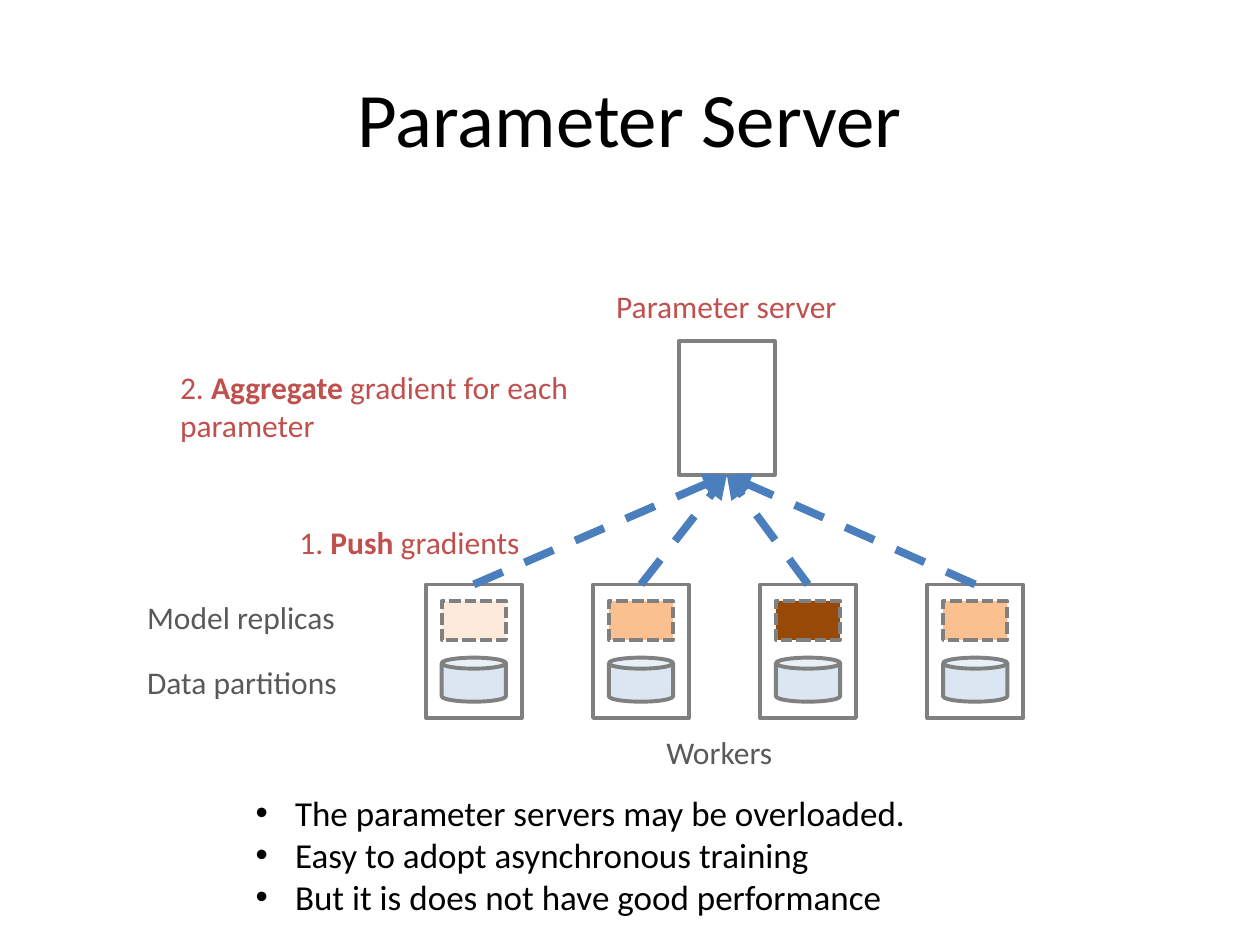
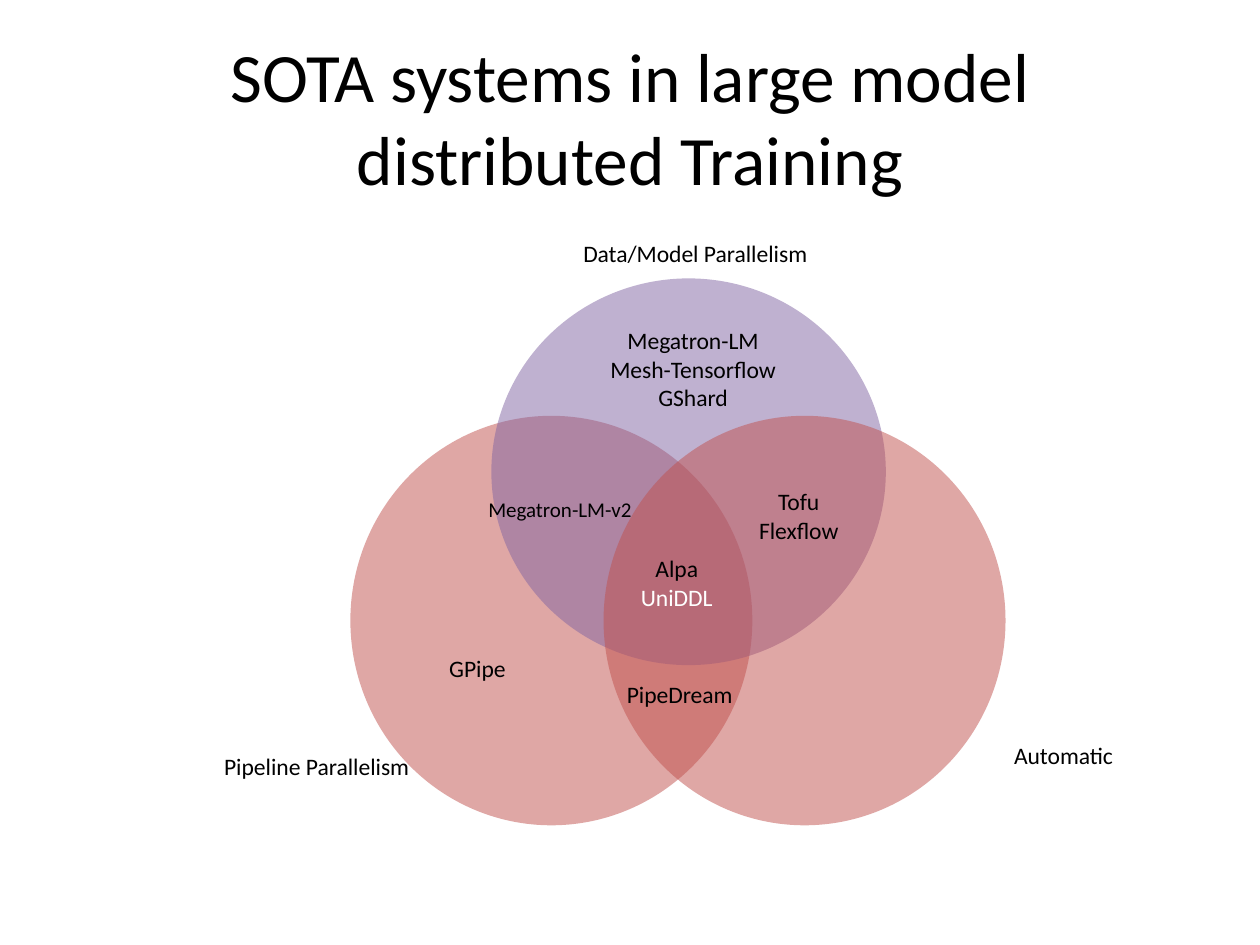
from lxml import etree
from pptx import Presentation
from pptx.dml.color import RGBColor
from pptx.enum.dml import MSO_LINE
from pptx.enum.shapes import MSO_CONNECTOR, MSO_SHAPE
from pptx.enum.text import MSO_ANCHOR, MSO_AUTO_SIZE, PP_ALIGN
from pptx.oxml.ns import qn
from pptx.util import Pt

FONT = "Calibri"
COLORS = {
    "text": "000000",
    "white": "FFFFFF",
    "label": "595959",
    "step": "C0504D",
    "outline": "808080",
    "data": "DCE6F2",
    "arrow": "4B7EBC",
    "red": "C0504D",
    "purple": "8064A2",
}
REPLICA_FILLS = ["FDEADA", "FAC090", "984807", "FAC090"]

NODE_W, NODE_H = 54.7, 76.3
WORKER_LEFT, WORKER_TOP, WORKER_STEP = 243.4, 334, 95.5
SERVER_LEFT, SERVER_TOP = 388, 195.1
PART_W, PART_INSET = 36.7, 9


def rgb(color):
    return RGBColor.from_string(COLORS.get(color, color))


def points(*lengths):
    return [Pt(length) for length in lengths]


def style_run(run, size, color, bold=None):
    run.font.name = FONT
    run.font.size = Pt(size)
    run.font.color.rgb = rgb(color)
    run.font.bold = bold


def add_text(slide, box, text, size, color="text", align=PP_ALIGN.LEFT, wrap=True):
    """Add a text box; a part of the text between asterisks is bold."""
    frame = slide.shapes.add_textbox(*points(*box)).text_frame
    frame.word_wrap = wrap
    frame.auto_size = MSO_AUTO_SIZE.SHAPE_TO_FIT_TEXT
    for number, line in enumerate(text.split("\n")):
        paragraph = frame.add_paragraph() if number else frame.paragraphs[0]
        paragraph.alignment = align
        for index, part in enumerate(line.split("*")):
            run = paragraph.add_run()
            run.text = part
            style_run(run, size, color, bold=index % 2 == 1)
    return frame


def add_title(slide, text, size):
    frame = add_text(slide, (36, 21.6, 648, 90), text, size, align=PP_ALIGN.CENTER)
    frame.auto_size = MSO_AUTO_SIZE.NONE
    frame.vertical_anchor = MSO_ANCHOR.MIDDLE


def add_bullets(slide, box, lines, size):
    frame = add_text(slide, box, "\n".join(lines), size)
    for paragraph in frame.paragraphs:
        properties = paragraph._p.get_or_add_pPr()
        properties.set("marL", str(Pt(22.5)))
        properties.set("indent", str(-Pt(22.5)))
        etree.SubElement(properties, qn("a:buFont")).set("typeface", "Arial")
        etree.SubElement(properties, qn("a:buChar")).set("char", "•")


def add_outlined(slide, kind, box, fill, dash=None):
    shape = slide.shapes.add_shape(kind, *points(*box))
    shape.shadow.inherit = False
    shape.fill.solid()
    shape.fill.fore_color.rgb = rgb(fill)
    shape.line.color.rgb = rgb("outline")
    shape.line.width = Pt(2.25)
    if dash:
        shape.line.dash_style = dash


def add_push_arrow(slide, start, end):
    arrow = slide.shapes.add_connector(MSO_CONNECTOR.STRAIGHT, *points(*start, *end))
    arrow.line.color.rgb = rgb("arrow")
    arrow.line.width = Pt(4.5)
    arrow.line.dash_style = MSO_LINE.DASH
    etree.SubElement(arrow.line._get_or_add_ln(), qn("a:tailEnd")).set("type", "triangle")
    etree.SubElement(arrow._element.spPr, qn("a:effectLst"))


def add_worker(slide, left, replica_fill):
    part_left = left + PART_INSET
    add_outlined(slide, MSO_SHAPE.RECTANGLE, (left, WORKER_TOP, NODE_W, NODE_H), "white")
    add_outlined(slide, MSO_SHAPE.CAN, (part_left, 375.8, PART_W, 25.2), "data")
    add_outlined(slide, MSO_SHAPE.RECTANGLE, (part_left, 343.4, PART_W, 22.3),
                 replica_fill, MSO_LINE.SQUARE_DOT)


def add_venn_circle(slide, box, color):
    circle = slide.shapes.add_shape(MSO_SHAPE.OVAL, *points(*box))
    circle.shadow.inherit = False
    circle.fill.solid()
    circle.fill.fore_color.rgb = rgb(color)
    circle.line.fill.background()
    solid_color = circle._element.spPr.find(qn("a:solidFill"))[0]
    etree.SubElement(solid_color, qn("a:alpha")).set("val", "50000")


def build_parameter_server(slide):
    add_title(slide, "Parameter Server", 44)
    add_outlined(slide, MSO_SHAPE.RECTANGLE,
                 (SERVER_LEFT, SERVER_TOP, NODE_W, NODE_H), "white")
    server_port = (SERVER_LEFT + NODE_W / 2, SERVER_TOP + NODE_H)
    for number, replica_fill in enumerate(REPLICA_FILLS):
        left = WORKER_LEFT + number * WORKER_STEP
        add_worker(slide, left, replica_fill)
        add_push_arrow(slide, (left + NODE_W / 2, WORKER_TOP), server_port)

    add_text(slide, (77, 338.4, 158.4, 29), "Model replicas", 18, "label")
    add_text(slide, (77, 375.1, 158.4, 29), "Data partitions", 18, "label")
    add_text(slide, (373.7, 415.6, 93.6, 29), "Workers", 18, "label")
    add_text(slide, (333.4, 160.6, 163.4, 29), "Parameter server", 18, "step",
             PP_ALIGN.CENTER)
    add_text(slide, (157.7, 295.2, 152.6, 29), "1. *Push* gradients", 18, "step",
             PP_ALIGN.CENTER)
    add_text(slide, (95.8, 206.6, 264.2, 51),
             "2. *Aggregate* gradient for each parameter", 18, "step")
    add_bullets(slide, (139, 448.6, 453.6, 80), [
        "The parameter servers may be overloaded.",
        "Easy to adopt asynchronous training",
        "But it is does not have good performance",
    ], 20)


def build_system_venn(slide):
    add_title(slide, "SOTA systems in large model distributed Training", 39.6)
    add_venn_circle(slide, (200.2, 237.6, 229.7, 234), "red")
    add_venn_circle(slide, (280.8, 159.1, 225.4, 221), "purple")
    add_venn_circle(slide, (344.9, 237.6, 229.7, 234), "red")

    for box, approach in [
        ((121, 426.2, 122.4, 23.8), "Pipeline Parallelism"),
        ((326.2, 133.2, 144.7, 23.8), "Data/Model Parallelism"),
        ((572.4, 419.8, 72, 23.8), "Automatic"),
    ]:
        add_text(slide, box, approach, 13.5, wrap=False)

    for box, systems, size in [
        ((340.6, 182.9, 110.9, 56.2), "Megatron-LM\nMesh-Tensorflow\nGShard", 13.5),
        ((249.1, 370.1, 47.5, 23.8), "GPipe", 13.5),
        ((350.6, 385.2, 75.6, 23.8), "PipeDream", 13.5),
        ((426.2, 275, 60.5, 40.3), "Tofu\nFlexflow", 13.5),
        ((271.4, 280.1, 97.2, 21.6), "Megatron-LM-v2", 12),
    ]:
        add_text(slide, box, systems, size, align=PP_ALIGN.CENTER, wrap=False)

    shared = add_text(slide, (358.6, 313.2, 56.2, 40.3), "Alpa\nUniDDL", 13.5,
                      align=PP_ALIGN.CENTER, wrap=False)
    style_run(shared.paragraphs[1].runs[0], 13.5, "white")


def main():
    deck = Presentation()
    deck.slide_width, deck.slide_height = points(720, 540)
    blank = deck.slide_layouts[6]
    for build in (build_parameter_server, build_system_venn):
        build(deck.slides.add_slide(blank))
    deck.save("out.pptx")


if __name__ == "__main__":
    main()
